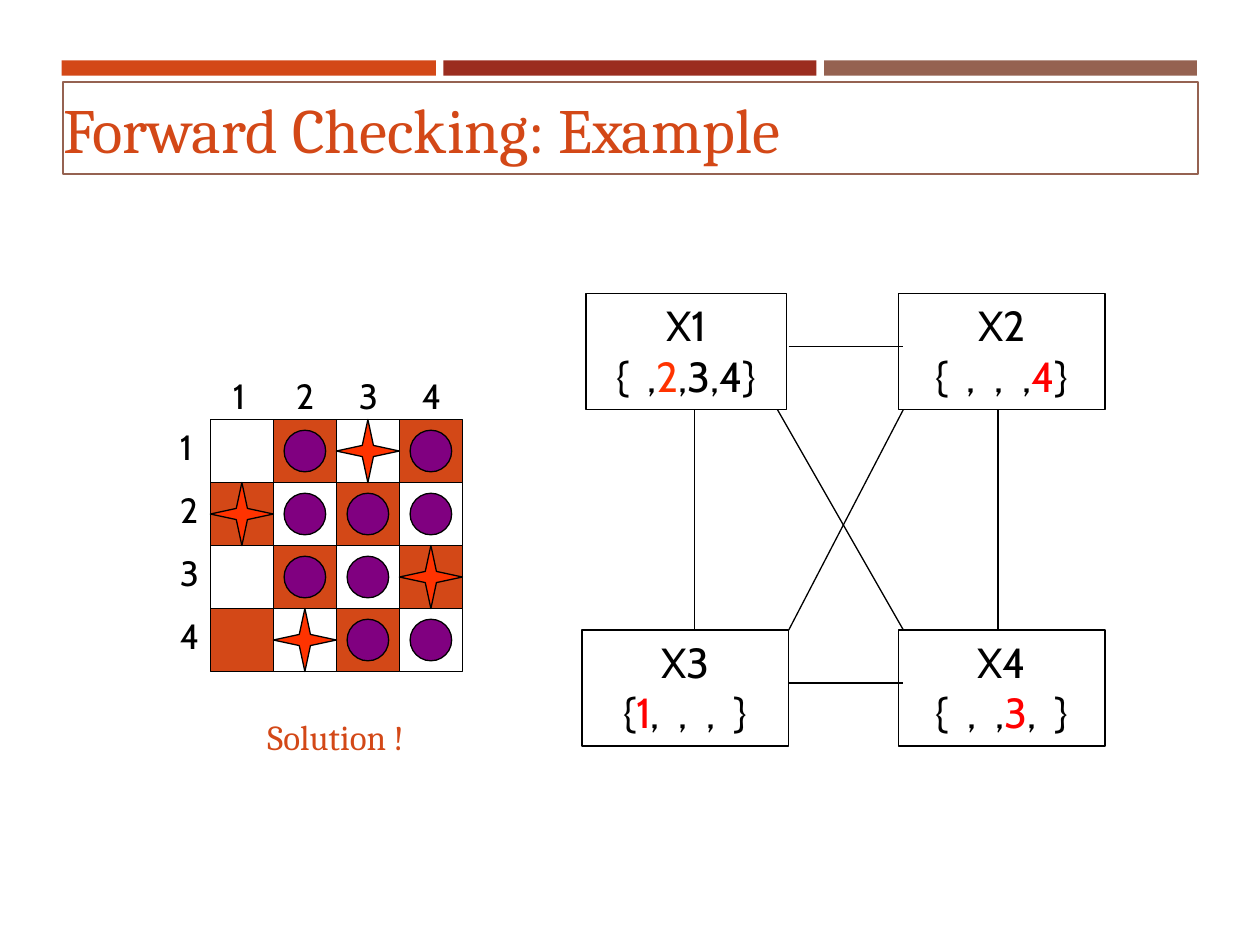
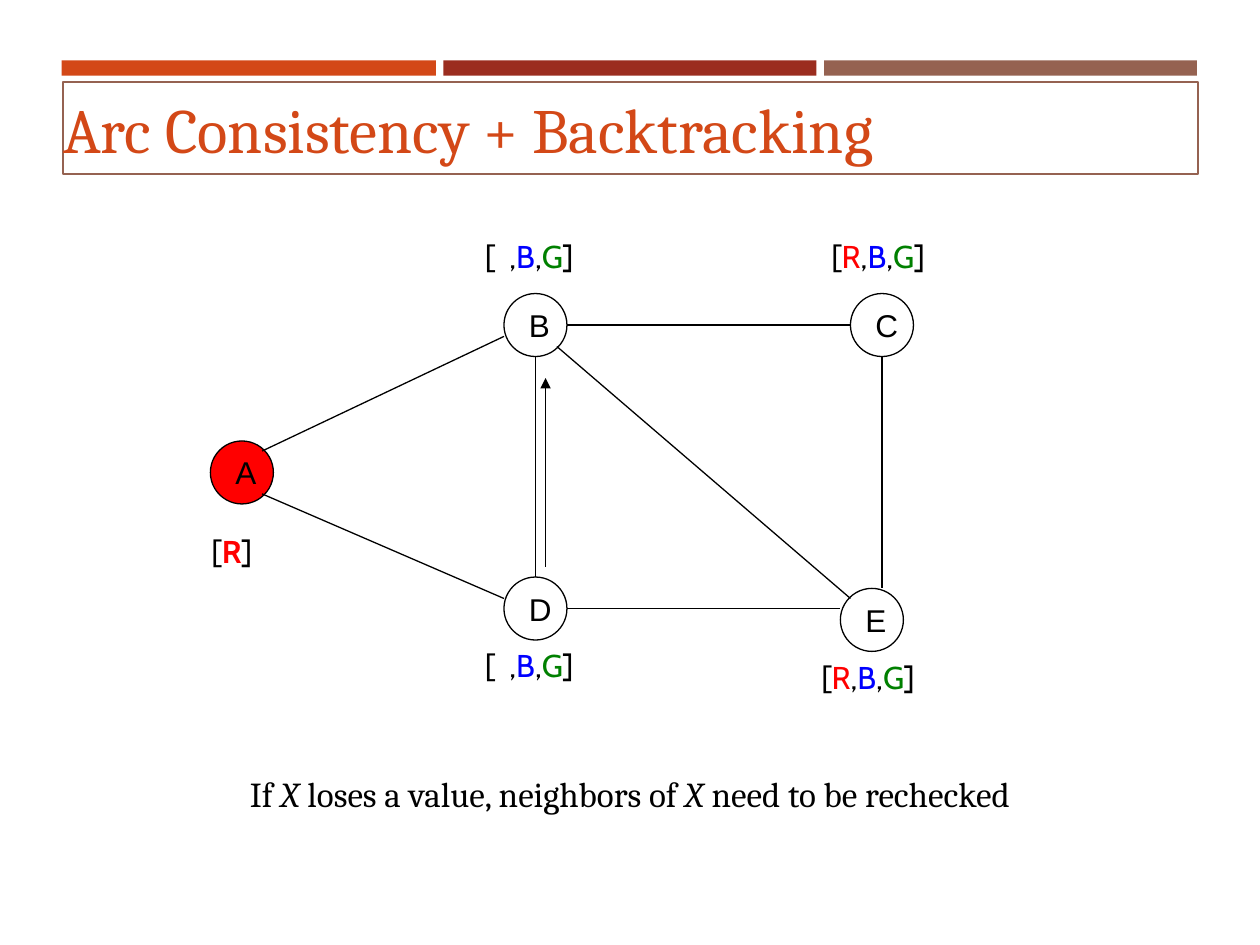
from itertools import groupby
from typing import NamedTuple

from lxml.etree import SubElement
from pptx import Presentation
from pptx.dml.color import RGBColor
from pptx.enum.shapes import MSO_CONNECTOR as Link, MSO_SHAPE as Form
from pptx.enum.text import MSO_ANCHOR as Anchor, MSO_AUTO_SIZE as Fit, PP_ALIGN as Align
from pptx.oxml.ns import qn
from pptx.shapes.autoshape import Shape
from pptx.slide import Slide
from pptx.util import Inches, Pt

# Shared look
ORANGE, RUST, BROWN = "D34817", "9B2D1F", "956251"
BLACK, WHITE, RED = "000000", "FFFFFF", "FF0000"
FLAME, PURPLE = "FF3300", "800080"
HUES = {"R": RED, "B": "0000FF", "G": "008000"}
SANS, SERIF, PLAIN = "Cabin", "Cambria", "Arial"


class Box(NamedTuple):
    x: float
    y: float
    w: float
    h: float


class Band(NamedTuple):
    x: float
    w: float
    color: str


class Domain(NamedTuple):
    text: str
    box: Box
    tint: dict[str, str]


class Node(NamedTuple):
    name: str
    x: float
    y: float
    values: str
    tag: tuple[float, float, float]
    fill: str | None = None
    bold: str = ""


class Edge(NamedTuple):
    x1: float
    y1: float
    x2: float
    y2: float


BANDS = [Band(0.49, 2.97, ORANGE), Band(3.52, 2.96, RUST), Band(6.54, 2.96, BROWN)]


def rgb(code: str) -> RGBColor:
    return RGBColor.from_string(code)


def place(box: Box) -> list[int]:
    return [Inches(v) for v in box]


def write(shape: Shape, text: str, *, size: float, font: str = SANS,
          color: str = BLACK, align: Align = Align.LEFT, wrap: bool = False,
          tint: dict[str, str] | None = None, bold: str = "", ital: str = "") -> None:
    """Fill a shape with text; tint, bold and ital name single characters."""
    frame = shape.text_frame
    frame.word_wrap = wrap
    frame.auto_size = Fit.SHAPE_TO_FIT_TEXT
    frame.vertical_anchor = Anchor.TOP

    def style(char: str) -> tuple[str, bool, bool]:
        return (tint or {}).get(char, color), char in bold, char in ital

    for i, line in enumerate(text.split("\n")):
        para = frame.add_paragraph() if i else frame.paragraphs[0]
        para.alignment = align
        for (hue, thick, slant), chars in groupby(line, style):
            run = para.add_run()
            run.text = "".join(chars)
            face = run.font
            face.name, face.size = font, Pt(size)
            face.bold, face.italic = thick, slant
            face.color.rgb = rgb(hue)


def label(slide: Slide, box: Box, text: str, **form) -> None:
    write(slide.shapes.add_textbox(*place(box)), text, **form)


def draw(slide: Slide, form: Form, box: Box, fill: str | None = None,
         line: str | None = BLACK) -> Shape:
    shape = slide.shapes.add_shape(form, *place(box))
    shape.shadow.inherit = False
    if fill:
        shape.fill.solid()
        shape.fill.fore_color.rgb = rgb(fill)
    else:
        shape.fill.background()
    if line:
        shape.line.color.rgb = rgb(line)
        shape.line.width = Pt(0.75)
    else:
        shape.line.fill.background()
    return shape


def join(slide: Slide, edge: Edge, arrow: bool = False) -> None:
    """Draw a line; the arrow sits at its start."""
    link = slide.shapes.add_connector(Link.STRAIGHT, *[Inches(v) for v in edge])
    link.line.color.rgb = rgb(BLACK)
    link.line.width = Pt(0.75)
    props = link._element.spPr
    if arrow:
        SubElement(props.find(qn("a:ln")), qn("a:headEnd"), type="triangle")
    SubElement(props, qn("a:effectLst"))


def start(deck: Presentation, title: str) -> Slide:
    """Add a slide with the three bands and the framed title."""
    slide = deck.slides.add_slide(deck.slide_layouts[5])
    for band in BANDS:
        draw(slide, Form.RECTANGLE, Box(band.x, 0.48, band.w, 0.12), band.color, None)
    head = slide.shapes.title
    head.left, head.top, head.width, head.height = place(Box(0.5, 0.71, 9.01, 0.61))
    head.line.color.rgb = rgb(BROWN)
    head.line.width = Pt(1)
    write(head, title, size=36, font=SERIF, color=ORANGE, wrap=True)
    frame = head.text_frame
    frame.vertical_anchor = Anchor.MIDDLE
    frame.margin_left = frame.margin_right = frame.margin_top = frame.margin_bottom = 0
    return slide


# Chess board
LEFT, TOP, CELL, DOT = 1.67, 3.33, 0.5, 0.33
QUEENS = [1, 3, 0, 2]  # row of the queen in each column


def board(slide: Slide) -> None:
    spots = [(r, c) for r in range(4) for c in range(4)]
    for r, c in spots:
        box = Box(LEFT + c * CELL, TOP + r * CELL, CELL, CELL)
        draw(slide, Form.RECTANGLE, box, ORANGE if (r + c) % 2 else WHITE)
    for i in range(4):
        label(slide, Box(1.33, TOP + i * CELL, 0.35, 0.44), str(i + 1), size=20)
        label(slide, Box(1.75 + i * CELL, 2.92, 0.35, 0.44), str(i + 1), size=20)
    gap = (CELL - DOT) / 2
    for r, c in spots:
        x, y = LEFT + c * CELL, TOP + r * CELL
        if r == QUEENS[c]:
            star = draw(slide, Form.STAR_4_POINT, Box(x, y, CELL, CELL), FLAME)
            star.adjustments[0] = 0.125
        elif c:
            draw(slide, Form.OVAL, Box(x + gap, y + gap, DOT, DOT), PURPLE)


# Slide 1: domains and constraints
DOMAINS = [
    Domain("X1\n{  ,2,3,4}", Box(4.65, 2.33, 1.59, 0.92), {"2": FLAME}),
    Domain("X2\n{  ,  ,  ,4}", Box(7.13, 2.33, 1.64, 0.92), {"4": RED}),
    Domain("X3\n{1,  ,  ,  }", Box(4.62, 5, 1.64, 0.92), {"1": RED}),
    Domain("X4\n{  ,  ,3,  }", Box(7.13, 5, 1.64, 0.92), {"3": RED}),
]
BONDS = [
    Edge(6.26, 2.75, 7.17, 2.75), Edge(6.26, 5.42, 7.17, 5.42),
    Edge(5.51, 3.25, 5.51, 5), Edge(7.92, 3.25, 7.92, 5),
    Edge(6.17, 3.25, 7.17, 5), Edge(7.17, 3.25, 6.26, 5),
]


def forward(deck: Presentation) -> None:
    slide = start(deck, "Forward Checking: Example")
    board(slide)
    for item in DOMAINS:
        shape = draw(slide, Form.RECTANGLE, item.box)
        write(shape, item.text, size=24, align=Align.CENTER, tint=item.tint)
    for bond in BONDS:
        join(slide, bond)
    label(slide, Box(1.08, 5.63, 3.17, 0.44), "Solution !", size=20, font=SERIF,
          color=ORANGE, align=Align.CENTER, wrap=True)


# Slide 2: graph to colour
NODES = [
    Node("A", 1.67, 3.5, "[R]", (1.58, 4.17, 0.58), RED, "R"),
    Node("B", 4, 2.33, "[  ,B,G]", (3.75, 1.83, 1.02)),
    Node("C", 6.75, 2.33, "[R,B,G]", (6.5, 1.83, 1.01)),
    Node("D", 4, 4.58, "[  ,B,G]", (3.75, 5.08, 1.02)),
    Node("E", 6.67, 4.67, "[R,B,G]", (6.42, 5.17, 1.01)),
]
EDGES = [
    Edge(2.08, 3.58, 4, 2.67), Edge(2.08, 3.92, 4, 4.75),
    Edge(4.25, 2.83, 4.25, 4.58), Edge(4.5, 2.58, 6.75, 2.58),
    Edge(7, 2.83, 7, 4.67), Edge(4.5, 4.83, 6.67, 4.83),
    Edge(4.42, 2.75, 6.75, 4.75),
]


def arcs(deck: Presentation) -> None:
    slide = start(deck, "Arc Consistency + Backtracking")
    for node in NODES:
        draw(slide, Form.OVAL, Box(node.x, node.y, 0.5, 0.5), node.fill)
        label(slide, Box(node.x + 0.1, node.y + 0.05, 0.3, 0.4), node.name,
              size=18, font=PLAIN, align=Align.CENTER, wrap=True)
        label(slide, Box(*node.tag, 0.4), node.values, size=18, tint=HUES, bold=node.bold)
    for edge in EDGES:
        join(slide, edge)
    join(slide, Edge(4.33, 3, 4.33, 4.5), arrow=True)
    label(slide, Box(1.3, 6.08, 7.4, 0.44),
          "If X loses a value, neighbors of X need to be rechecked",
          size=20, font=SERIF, align=Align.CENTER, wrap=True, ital="X")


def main() -> None:
    deck = Presentation()
    deck.slide_width, deck.slide_height = Inches(10), Inches(7.5)
    forward(deck)
    arcs(deck)
    deck.save("out.pptx")


if __name__ == "__main__":
    main()
